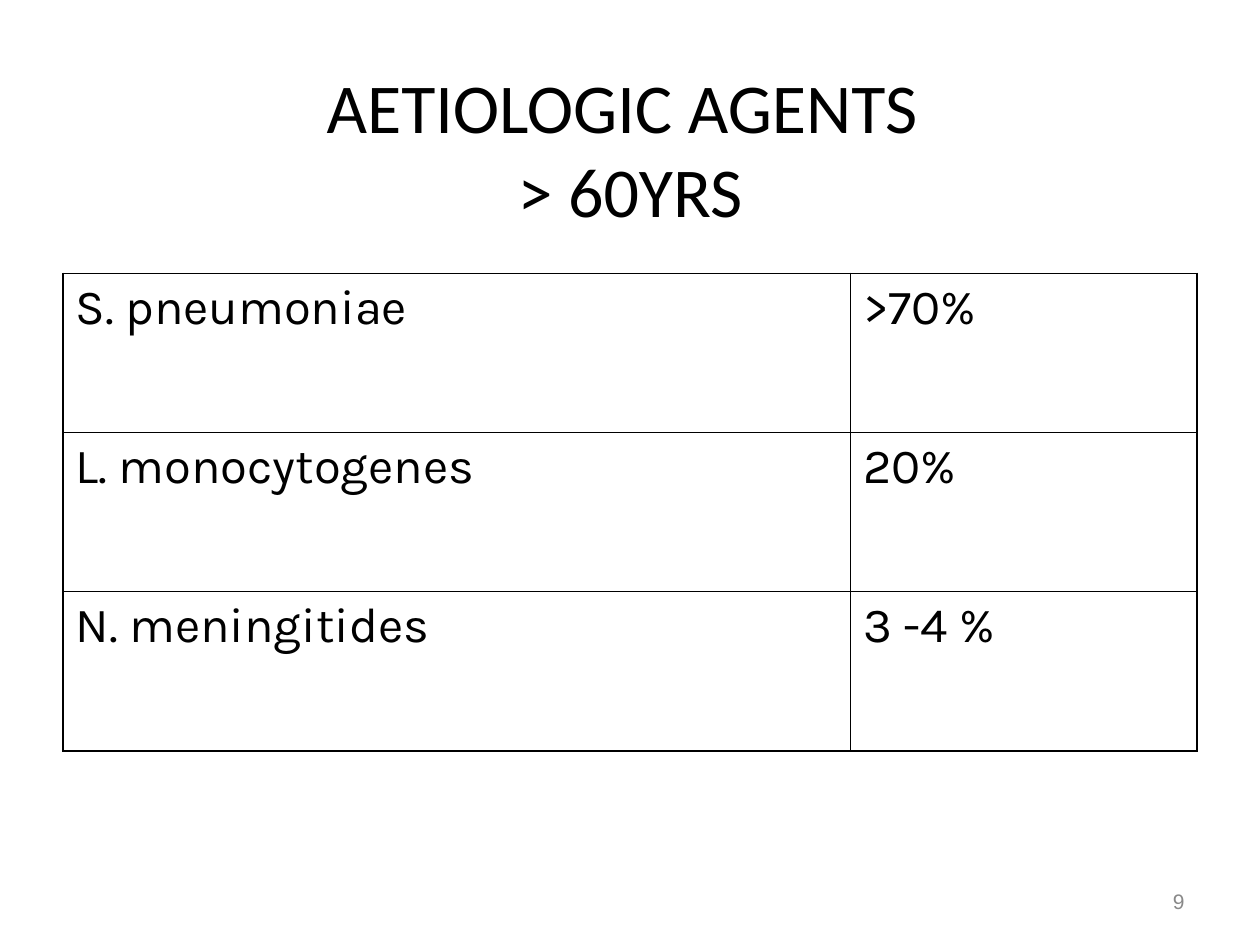
from lxml.etree import SubElement
from pptx import Presentation
from pptx.dml.color import RGBColor
from pptx.enum.text import MSO_ANCHOR, PP_ALIGN
from pptx.oxml.ns import qn
from pptx.util import Inches, Pt

THEME = {
    "ink": "000000",
    "muted": "898989",
    "title": {"font": "Calibri", "size": 40},
    "body": {"font": "Karla", "size": 28},
    "number": {"font": "Arial", "size": 12},
    "outer_line": 1.08,
    "inner_line": 0.45,
}


def write_text(frame, lines, *, font, size, color=THEME["ink"],
               align=PP_ALIGN.LEFT, anchor=MSO_ANCHOR.TOP):
    """Fill a text frame with one paragraph, breaking between lines."""
    frame.word_wrap = True
    frame.vertical_anchor = anchor
    paragraph = frame.paragraphs[0]
    paragraph.alignment = align
    for index, line in enumerate(lines):
        if index:
            paragraph.add_line_break()
        paragraph.add_run().text = line
    for run in paragraph.runs:
        run.font.name = font
        run.font.size = Pt(size)
        run.font.color.rgb = RGBColor.from_string(color)


def draw_border(cell, side, width):
    """Add one solid border line to a table cell."""
    line = SubElement(cell._tc.get_or_add_tcPr(), qn(f"a:ln{side}"), w=str(Pt(width)))
    fill = SubElement(line, qn("a:solidFill"))
    SubElement(fill, qn("a:srgbClr"), val=THEME["ink"])


presentation = Presentation()
presentation.slide_width = Inches(10)
presentation.slide_height = Inches(7.5)
slide = presentation.slides.add_slide(presentation.slide_layouts[6])

# Page margins
margin = Inches(0.5)
content_width = presentation.slide_width - 2 * margin

# Title
title = slide.shapes.add_textbox(margin, Inches(0.42), content_width, Inches(1.5))
write_text(title.text_frame, ["AETIOLOGIC AGENTS ", "> 60YRS"], **THEME["title"],
           align=PP_ALIGN.CENTER, anchor=MSO_ANCHOR.MIDDLE)

# Table of agents and their share of cases
agents = [
    ("S. pneumoniae", ">70%"),
    ("L. monocytogenes", "20%"),
    ("N. meningitides", "3 -4 %"),
]
row_count, column_count = len(agents), len(agents[0])
table = slide.shapes.add_table(row_count, column_count, margin, Inches(2.17),
                               content_width, Inches(3.79)).table
table.first_row = False
table.horz_banding = False
table.columns[0].width = Inches(6.25)
table.columns[1].width = content_width - table.columns[0].width

for row, agent in enumerate(agents):
    for column, text in enumerate(agent):
        cell = table.cell(row, column)
        outer_sides = {
            "L": column == 0,
            "R": column == column_count - 1,
            "T": row == 0,
            "B": row == row_count - 1,
        }
        for side, is_outer in outer_sides.items():
            draw_border(cell, side, THEME["outer_line" if is_outer else "inner_line"])
        cell.fill.background()
        write_text(cell.text_frame, [text], **THEME["body"])

# Slide number
number_width = Inches(2.33)
number = slide.shapes.add_textbox(presentation.slide_width - margin - number_width,
                                  Inches(6.95), number_width, Inches(0.4))
write_text(number.text_frame, ["9"], **THEME["number"], color=THEME["muted"],
           align=PP_ALIGN.RIGHT, anchor=MSO_ANCHOR.MIDDLE)

presentation.save("out.pptx")
